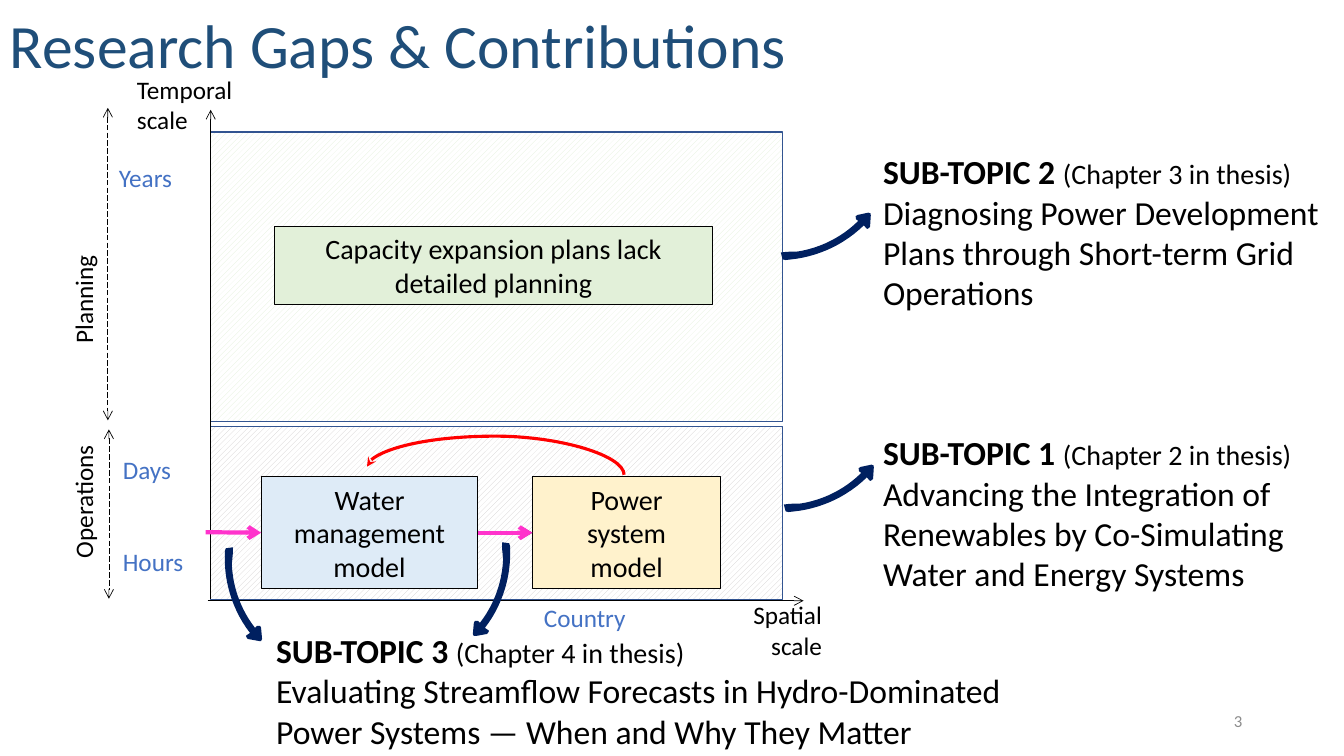
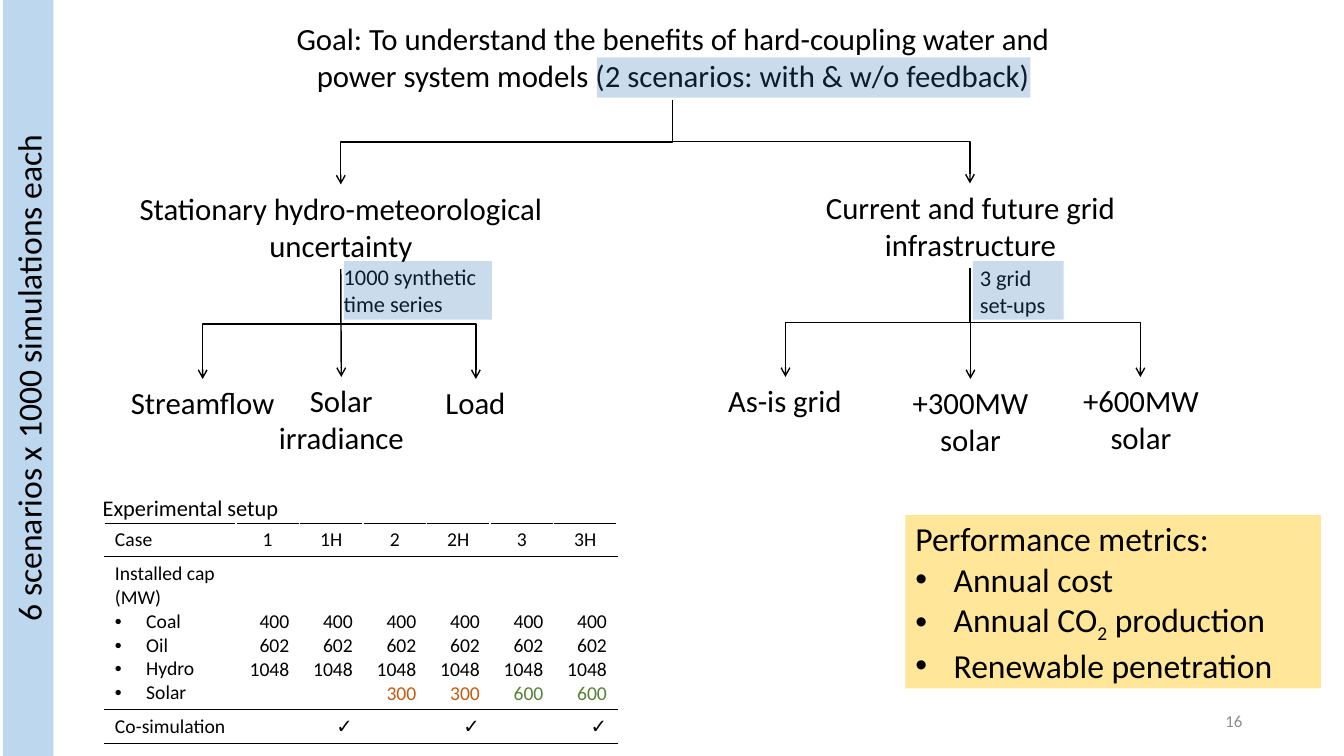
"""Build two slides: research gaps by scale, and the experiment design tree."""
from math import cos, radians, sin

from lxml.etree import SubElement
from pptx import Presentation
from pptx.dml.color import RGBColor
from pptx.enum.dml import MSO_LINE, MSO_PATTERN
from pptx.enum.shapes import MSO_CONNECTOR, MSO_SHAPE
from pptx.enum.text import MSO_ANCHOR, PP_ALIGN
from pptx.oxml.ns import qn
from pptx.util import Inches, Pt

COLORS = {
    "black": "000000", "white": "FFFFFF", "title": "1F4E79", "page": "8C8C8C",
    "scale": "4472C4", "zone": "325491", "hatch_gray": "D0CECE", "green": "E2F0D9",
    "water": "DEEBF7", "power": "FFF2CC", "navy": "002060", "feedback": "FF0000",
    "flow": "FF33CC", "band": "BDD7EE", "highlight": "2E75B6", "metrics": "FFE699",
    "solar_300": "C55A11", "solar_600": "548235",
}
RGB = {name: RGBColor.from_string(value) for name, value in COLORS.items()}
LEFT, CENTER, RIGHT = PP_ALIGN.LEFT, PP_ALIGN.CENTER, PP_ALIGN.RIGHT


def write(frame, lines, size, color="black", align=LEFT, bullet_indent=None):
    frame.word_wrap = True
    for number, line in enumerate(lines):
        paragraph = frame.add_paragraph() if number else frame.paragraphs[0]
        paragraph.text = line
        paragraph.alignment = align
        if bullet_indent and number:
            properties = paragraph._p.get_or_add_pPr()
            properties.set("marL", str(Inches(bullet_indent)))
            properties.set("indent", str(-Inches(bullet_indent)))
            SubElement(properties, qn("a:buFont"), typeface="Arial")
            SubElement(properties, qn("a:buChar"), char="•")
        paragraph.font.name = "Calibri"
        paragraph.font.size = Pt(size)
        paragraph.font.color.rgb = RGB[color]


def arrow(slide, start, end, width=1, color="black", kind=MSO_CONNECTOR.STRAIGHT,
          tip="arrow", double=False):
    straight = kind == MSO_CONNECTOR.STRAIGHT
    if not straight:
        (x1, y1), (x2, y2) = start, end
        middle_x, middle_y = (x1 + x2) / 2, (y1 + y2) / 2
        half_x, half_y = (y2 - y1) / 2, (x1 - x2) / 2
        start = middle_x - half_x, middle_y - half_y
        end = middle_x + half_x, middle_y + half_y
    link = slide.shapes.add_connector(kind, *map(Inches, start + end))
    link.line.color.rgb = RGB[color]
    link.line.width = Pt(width)
    if double:
        link.line.dash_style = MSO_LINE.LONG_DASH
    properties = link.element.spPr
    if not straight:
        properties.find(qn("a:xfrm")).set("rot", str(90 * 60000))
    outline = properties.find(qn("a:ln"))
    if double:
        SubElement(outline, qn("a:headEnd"), type=tip)
    SubElement(outline, qn("a:tailEnd"), type=tip)
    SubElement(properties, qn("a:effectLst"))
    return link


deck = Presentation()
deck.slide_width, deck.slide_height = Inches(13.33), Inches(7.5)
gaps, design = [deck.slides.add_slide(deck.slide_layouts[6]) for _ in range(2)]
for slide, page in ((gaps, "3"), (design, "16")):
    number = slide.shapes.add_textbox(*map(Inches, (9.42, 6.95, 3, 0.4)))
    number.text_frame.vertical_anchor = MSO_ANCHOR.MIDDLE
    write(number.text_frame, [page], 12, "page", RIGHT)

for top, height, hatch in ((4.23, 1.72, "hatch_gray"), (1.31, 2.87, "green")):
    zone = gaps.shapes.add_shape(
        MSO_SHAPE.RECTANGLE, *map(Inches, (2.09, top, 5.67, height)))
    zone.shadow.inherit = False
    zone.fill.patterned()
    zone.fill.pattern = MSO_PATTERN.WIDE_UPWARD_DIAGONAL
    zone.fill.fore_color.rgb = RGB[hatch]
    zone.fill.back_color.rgb = RGB["white"]
    zone.line.color.rgb = RGB["zone"]
    zone.line.width = Pt(1)

for box, text, size, color, align, turn in (
    ((0, 0.02, 10.89, 0.84), "Research Gaps & Contributions", 44, "title", LEFT, 0),
    ((1.26, 0.69, 1.44, 0.71), "Temporal scale", 18, "black", LEFT, 0),
    ((6.99, 5.9, 1.26, 0.71), "Spatial scale", 18, "black", RIGHT, 0),
    ((0.26, 2.74, 1.13, 0.4), "Planning", 18, "black", LEFT, 270),
    ((0.15, 4.76, 1.35, 0.4), "Operations", 18, "black", LEFT, 270),
    ((1.08, 1.56, 0.8, 0.4), "Years", 18, "scale", LEFT, 0),
    ((1.12, 4.46, 0.84, 0.4), "Days", 18, "scale", LEFT, 0),
    ((1.12, 5.37, 0.84, 0.4), "Hours", 18, "scale", LEFT, 0),
    ((5.2, 5.93, 1.2, 0.4), "Country", 18, "scale", CENTER, 0),
):
    label = gaps.shapes.add_textbox(*map(Inches, box))
    label.rotation = turn
    write(label.text_frame, [text], size, color, align)

for box, topic, chapter, summary in (
    ((8.66, 4.24, 4.74, 1.72), 1, 2, "Advancing the Integration of Renewables by "
     "Co-Simulating Water and Energy Systems"),
    ((8.66, 1.45, 4.74, 1.72), 2, 3, "Diagnosing Power Development Plans through "
     "Short-term Grid Operations"),
    ((2.64, 6.2, 7.57, 1.31), 3, 4, "Evaluating Streamflow Forecasts in "
     "Hydro-Dominated Power Systems — When and Why They Matter"),
):
    subtopic = gaps.shapes.add_textbox(*map(Inches, box)).text_frame
    write(subtopic, [f"SUB-TOPIC {topic} ", summary], 24)
    heading = subtopic.paragraphs[0]
    heading.runs[0].font.bold = True
    source = heading.add_run()
    source.text = f"(Chapter {chapter} in thesis)"
    source.font.size = Pt(20)

models = []
for box, lines, color in (
    ((2.59, 4.73, 2.15, 1.11), ["Water management model"], "water"),
    ((5.28, 4.73, 1.87, 1.11), ["Power", "system", "model"], "power"),
    ((2.72, 2.25, 4.35, 0.77), ["Capacity expansion plans lack detailed planning"], "green"),
):
    model = gaps.shapes.add_shape(MSO_SHAPE.RECTANGLE, *map(Inches, box))
    model.shadow.inherit = False
    model.fill.solid()
    model.fill.fore_color.rgb = RGB[color]
    model.line.color.rgb = RGB["black"]
    model.line.width = Pt(0.75)
    write(model.text_frame, lines, 20, align=CENTER)
    models.append(model)
water, power = models[:2]

arrow(gaps, (2.09, 5.94), (2.09, 1.09), 0.5)
arrow(gaps, (2.06, 5.96), (7.97, 5.96), 0.5)
arrow(gaps, (1.07, 1.07), (1.07, 4.17), 0.5, double=True)
arrow(gaps, (1.08, 4.26), (1.08, 5.94), 0.5, double=True)
for width, color in ((1, "black"), (3, "flow")):
    release = arrow(gaps, (4.74, 5.28), (5.28, 5.28), width, color)
    release.begin_connect(water, 3)
    release.end_connect(power, 1)
inflow = arrow(gaps, (2.04, 5.28), (2.59, 5.28), 3, "flow")
inflow.end_connect(water, 1)
feedback = arrow(gaps, (6.19, 4.71), (3.64, 4.63), 2.25, "feedback",
                 MSO_CONNECTOR.CURVE, "stealth")
bend = feedback.element.spPr.find(qn("a:prstGeom")).get_or_add_avLst()
SubElement(bend, qn("a:gd"), name="adj1", fmla="val 479600")

inner_edge = ((0.13, 0.33), (-0.01, 0.15), (-0.09, -0.07), (-0.1, -0.3))
outer_edge = ((-0.17, -0.32), (-0.16, -0.07), (-0.08, 0.17), (0.08, 0.38))
edges = []
for curve in (inner_edge, outer_edge):
    edges.append([])
    for step in range(13):
        t = step / 12
        weights = ((1 - t) ** 3, 3 * t * (1 - t) ** 2, 3 * t * t * (1 - t), t ** 3)
        edges[-1].append(tuple(
            sum(w * point[axis] for w, point in zip(weights, curve)) for axis in (0, 1)))
swoosh = [(0.05, 0.43), (0.06, 0.44), (0.17, 0.46), (0.19, 0.46), (0.2, 0.44),
          (0.19, 0.33), (0.18, 0.31), (0.15, 0.31), *edges[0],
          (-0.09, -0.41), (-0.09, -0.47), (-0.16, -0.46), (-0.17, -0.43),
          *edges[1], (0.05, 0.4), (0.04, 0.41)]
for x, y, turn, mirror in ((8.23, 4.86, -96.8, 1), (8.2, 2.36, -96.8, 1),
                           (2.4, 5.9, 0, 1), (4.89, 5.85, 0, -1)):
    c, s = cos(radians(turn)), sin(radians(turn))
    corners = [(Inches(x + mirror * (px * c - py * s)), Inches(y + px * s + py * c))
               for px, py in swoosh]
    builder = gaps.shapes.build_freeform(*corners[0])
    builder.add_line_segments(corners[1:])
    pointer = builder.convert_to_shape()
    pointer.shadow.inherit = False
    pointer.fill.solid()
    pointer.fill.fore_color.rgb = RGB["navy"]
    pointer.line.fill.background()

nodes = {}
for box, lines, size, align in (
    ((2.73, 0.15, 7.89, 0.84), ["Goal: To understand the benefits of hard-coupling water "
     "and power system models (2 scenarios: with & w/o feedback)"], 22, CENTER),
    ((0.84, 1.83, 5.08, 0.84), ["Stationary hydro-meteorological uncertainty"], 22, CENTER),
    ((6.74, 1.82, 5.77, 0.84), ["Current and future grid", "infrastructure"], 22, CENTER),
    ((0.86, 3.76, 2.3, 0.47), ["Streamflow"], 22, CENTER),
    ((2.13, 3.74, 2.51, 0.84), ["Solar", "irradiance"], 22, CENTER),
    ((3.46, 3.76, 2.51, 0.47), ["Load"], 22, CENTER),
    ((6.85, 3.74, 1.87, 0.47), ["As-is grid"], 22, CENTER),
    ((8.37, 3.76, 2.51, 0.84), ["+300MW", "solar"], 22, CENTER),
    ((10.22, 3.74, 2.19, 0.84), ["+600MW", "solar"], 22, CENTER),
    ((3.31, 2.56, 2.39, 0.64), ["1000 synthetic", "time series"], 16, LEFT),
    ((9.62, 2.57, 2.31, 0.64), ["3 grid", "set-ups"], 16, LEFT),
    ((0.92, 4.85, 6.18, 0.37), ["Experimental setup"], 16, LEFT),
):
    node = design.shapes.add_textbox(*map(Inches, box))
    write(node.text_frame, lines, size, align=align)
    nodes[lines[0]] = node

for start, end in (
    ((6.67, 0.99), (3.38, 1.83)), ((6.67, 0.99), (9.62, 1.82)),
    ((3.38, 2.67), (2.01, 3.76)), ((3.38, 2.67), (4.72, 3.76)),
    ((9.62, 2.66), (7.79, 3.74)), ((9.62, 2.66), (11.31, 3.74)),
):
    arrow(design, start, end, kind=MSO_CONNECTOR.ELBOW)
for parent, child in (("Stationary hydro-meteorological uncertainty", "Solar"),
                      ("Current and future grid", "+300MW")):
    branch = arrow(design, (3.38, 2.67), (3.38, 3.74))
    branch.begin_connect(nodes[parent], 2)
    branch.end_connect(nodes[child], 0)

panels = []
for box, color in (
    ((-3.47, 3.5, 7.5, 0.5), "band"), ((8.98, 5.11, 4.12, 1.72), "metrics"),
    ((5.92, 0.57, 4.3, 0.4), "highlight"), ((3.41, 2.59, 1.47, 0.58), "highlight"),
    ((9.65, 2.59, 0.9, 0.58), "highlight"),
):
    panel = design.shapes.add_shape(MSO_SHAPE.RECTANGLE, *map(Inches, box))
    panel.shadow.inherit = False
    panel.fill.solid()
    panel.fill.fore_color.rgb = RGB[color]
    panel.line.fill.background()
    if color == "highlight":
        tint = panel.element.spPr.find(qn("a:solidFill"))[0]
        SubElement(tint, qn("a:alpha"), val="25000")
    panels.append(panel)
band, metrics = panels[:2]
band.rotation = 270
write(band.text_frame, ["6 scenarios x 1000 simulations each"], 24, align=CENTER)
write(metrics.text_frame, ["Performance metrics:", "Annual cost", "Annual CO",
                           "Renewable penetration"], 24, bullet_indent=0.38)
emissions = metrics.text_frame.paragraphs[2]
for text, baseline in (("2", "-25000"), (" production", "0")):
    piece = emissions.add_run()
    piece.text = text
    piece._r.get_or_add_rPr().set("baseline", baseline)

cases = ["1", "1H", "2", "2H", "3", "3H"]
solar = {"2": "300", "3": "600"}
setup = design.shapes.add_table(3, 7, *map(Inches, (1.04, 5.19, 5.08, 2.13))).table
setup.first_row = setup.horz_banding = False
for column, width in zip(setup.columns, [1.3] + [0.63] * 6):
    column.width = Inches(width)
for row, height in zip(setup.rows, (0.33, 1.47, 0.33)):
    row.height = Inches(height)
write(setup.cell(0, 0).text_frame, ["Case"], 14)
write(setup.cell(1, 0).text_frame, ["Installed cap (MW)", "Coal", "Oil", "Hydro", "Solar"],
      14, bullet_indent=0.31)
write(setup.cell(2, 0).text_frame, ["Co-simulation"], 14)
for index, case in enumerate(cases, 1):
    write(setup.cell(0, index).text_frame, [case], 14, align=CENTER)
    capacity, coupled = setup.cell(1, index), setup.cell(2, index)
    capacity.margin_top = Inches(0.53)
    added = solar.get(case[0])
    write(capacity.text_frame, ["400", "602", "1048"] + ([added] if added else []),
          14, align=RIGHT)
    if added:
        capacity.text_frame.paragraphs[3].font.color.rgb = RGB[f"solar_{added}"]
    coupled.vertical_anchor = MSO_ANCHOR.MIDDLE
    write(coupled.text_frame, ["✓" if case.endswith("H") else ""], 14, align=RIGHT)
for cell in setup.iter_cells():
    cell.fill.background()
    properties = cell._tc.get_or_add_tcPr()
    for order, (side, color) in enumerate(
            (("L", "white"), ("R", "white"), ("T", "black"), ("B", "black"))):
        border = SubElement(properties, qn(f"a:ln{side}"), w=str(Pt(1)))
        SubElement(SubElement(border, qn("a:solidFill")), qn("a:srgbClr"), val=COLORS[color])
        properties.insert(order, border)

deck.save("out.pptx")
